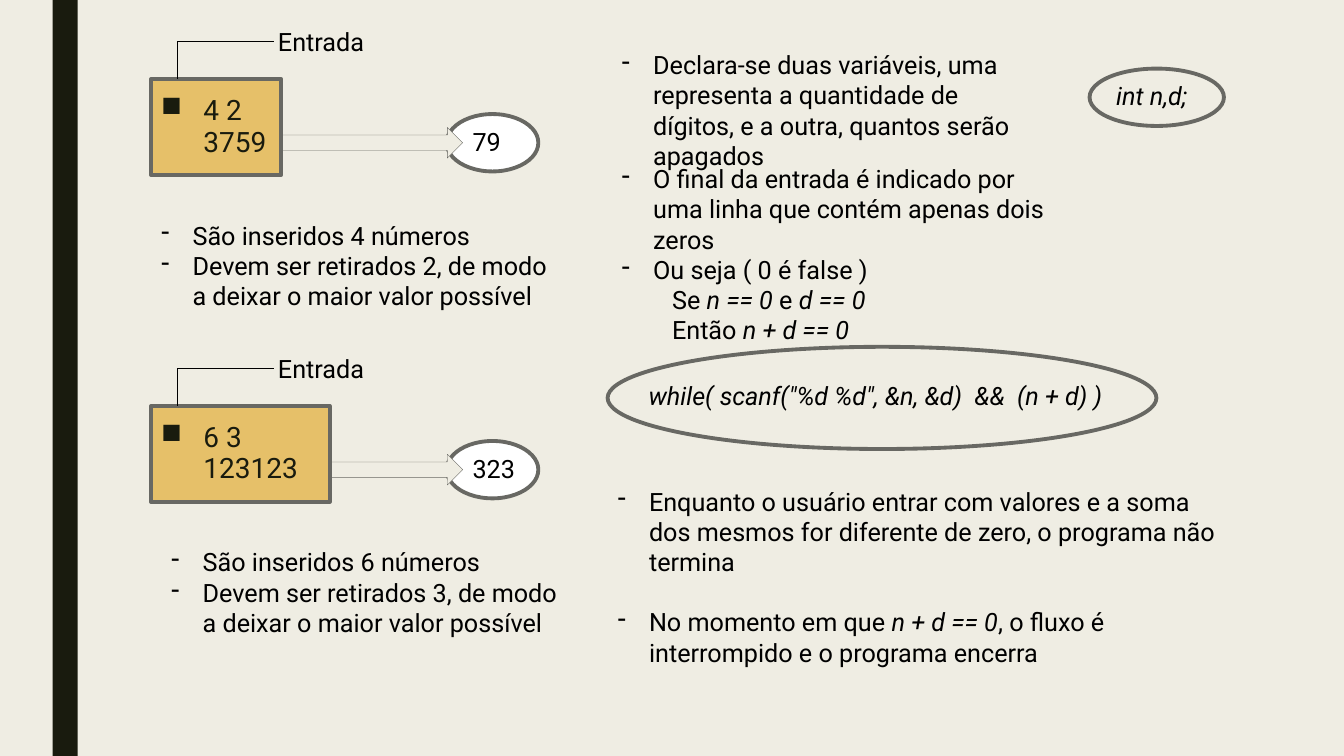
import pptx
import pptx.util
import pptx.dml.color
import pptx.enum.shapes
import pptx.oxml.ns
import lxml.etree

Pt = pptx.util.Pt
SHAPE = pptx.enum.shapes.MSO_SHAPE
CONNECTOR = pptx.enum.shapes.MSO_CONNECTOR
PAPER, DARK, GOLD, GRAY = "EFEDE3", "191B0E", "E6C069", "686863"
BODY = {"size": Pt(18), "name": "Roboto", "color": "000000"}
ENTRY = {"size": Pt(20), "name": "Roboto", "color": DARK}
DASH = {"bullet": "-", "indent": 22.5}
SQUARE = {"bullet": "■", "indent": 30.25, "line_spacing": 0.94}


def rgb(value):
    return pptx.dml.color.RGBColor.from_string(value)


def sub(parent, tag, **attrs):
    return lxml.etree.SubElement(parent, pptx.oxml.ns.qn(tag), **attrs)


def add_shape(s, kind, box, fill, line=None, width=2.75):
    sp = s.shapes.add_shape(kind, *map(Pt, box))
    sp.shadow.inherit = False
    sp.fill.solid()
    sp.fill.fore_color.rgb = rgb(fill)
    if line:
        sp.line.color.rgb = rgb(line)
        sp.line.width = Pt(width)
    else:
        sp.line.fill.background()
    return sp


def add_line(s, x1, y1, x2, y2):
    cx = s.shapes.add_connector(CONNECTOR.STRAIGHT, *map(Pt, (x1, y1, x2, y2)))
    cx.line.color.rgb = rgb("000000")
    cx.line.width = Pt(0.5)
    sub(cx._element.spPr, "a:effectLst")


def format_font(font, values):
    for name, value in values.items():
        if name == "color":
            font.color.rgb = rgb(value)
        else:
            setattr(font, name, value)


def format_paragraph(p, bullet=None, indent=0, **values):
    pPr = p._p.get_or_add_pPr()
    pPr.set("marL", str(Pt(indent)))
    pPr.set("indent", str(-Pt(indent) if bullet else 0))
    if bullet:
        sub(pPr, "a:buChar", char=bullet)
    for name, value in values.items():
        setattr(p, name, value)


def add_text(s, box, paragraphs, font=BODY):
    """Each paragraph is (text, format); asterisks enclose italics."""
    tf = s.shapes.add_textbox(*map(Pt, box)).text_frame
    tf.word_wrap = True
    for i, (text, values) in enumerate(paragraphs):
        p = tf.add_paragraph() if i else tf.paragraphs[0]
        format_paragraph(p, **values)
        for n, line in enumerate(text.split("\n")):
            if n:
                p.add_line_break()
            for k, part in enumerate(line.split("*")):
                if part:
                    r = p.add_run()
                    r.text = part
                    format_font(r.font, {**font, "italic": k % 2 == 1})


def add_example(s, x, y, entry, entry_width, result, notes, notes_dx):
    # Result and arrow, partly behind the entry box
    add_shape(s, SHAPE.OVAL, (x + 211, y + 66.5, 65.5, 41), "FFFFFF", GRAY)
    start = x + entry_width - 8
    add_shape(s, SHAPE.RIGHT_ARROW, (start, y + 76, x + 222.5 - start, 22),
              PAPER, GRAY, 0.25)
    add_text(s, (x + 222.5, y + 72, 73.5, 29), [(result, {})])
    # Entry box and its values
    add_shape(s, SHAPE.RECTANGLE, (x, y + 41.5, entry_width, 68.5), GOLD, GRAY)
    add_text(s, (x, y + 49.5, 114.5, 55.5), [(entry, SQUARE)], ENTRY)
    # Label with its elbow line
    add_line(s, x + 18.75, y + 41.5, x + 18.75, y + 14.75)
    add_line(s, x + 18.75, y + 14.75, x + 88, y + 14.75)
    add_text(s, (x + 83.5, y, 127.5, 29), [("Entrada", {})])
    # What happens with the entry
    add_text(s, (x + notes_dx, y + 138.5, 296, 73),
             [(note, DASH) for note in notes])


def add_code(s, box, code, dx, dy):
    x, y, w, h = box
    add_shape(s, SHAPE.OVAL, box, PAPER, GRAY)
    add_text(s, (x + dx, y + dy, w - 2 * dx, 29), [(f"*{code}*", {})])


def add_explanation(s, x, y):
    # Variables
    add_text(s, (x + 3, y, 310, 73), [
        ("Declara-se duas variáveis, uma representa a quantidade de dígitos, "
         "e a outra, quantos serão apagados", DASH)])
    add_code(s, (x + 344.25, y + 17.25, 96, 41), "int n,d;", 12, 4.5)
    # End of the input
    add_text(s, (x + 3, y + 81.5, 335, 138), [
        ("O final da entrada é indicado por uma linha que contém apenas dois "
         "zeros", DASH),
        ("Ou seja ( 0 é false )", DASH),
        ("Se *n == 0 *e *d == 0*", {"indent": 36}),
        ("Então *n + d == 0*", {"indent": 36})])
    # Loop
    add_code(s, (x, y + 216, 392, 73),
             'while( scanf("%d %d", &n, &d)  &&  (n + d) )', 22.25, 20)
    add_text(s, (x, y + 311.75, 455, 117), [
        ("Enquanto o usuário entrar com valores e a soma dos mesmos for "
         "diferente de zero, o programa não termina", DASH),
        ("No momento em que *n + d == 0*, o fluxo é interrompido e o programa "
         "encerra", {**DASH, "space_before": Pt(21.5)})])


def main():
    prs = pptx.Presentation()
    prs.slide_width, prs.slide_height = Pt(960), Pt(540)
    s = prs.slides.add_slide(prs.slide_layouts[6])
    s.background.fill.solid()
    s.background.fill.fore_color.rgb = rgb(PAPER)

    # Side bar
    add_shape(s, SHAPE.RECTANGLE, (37.5, 0, 18, 540), DARK)

    # Examples on the left
    examples = [("4 2\n3759", 93, "79", 4, 2, 0),
                ("6 3\n123123", 127.5, "323", 6, 3, 7.2)]
    for i, (entry, width, result, count, removed, dx) in enumerate(examples):
        notes = [f"São inseridos {count} números",
                 f"Devem ser retirados {removed}, de modo a deixar o maior "
                 "valor possível"]
        add_example(s, 108, 15 + 233.5 * i, entry, width, result, notes, dx)

    # Explanation on the right
    add_explanation(s, 434, 31.75)
    prs.save("out.pptx")


if __name__ == "__main__":
    main()
